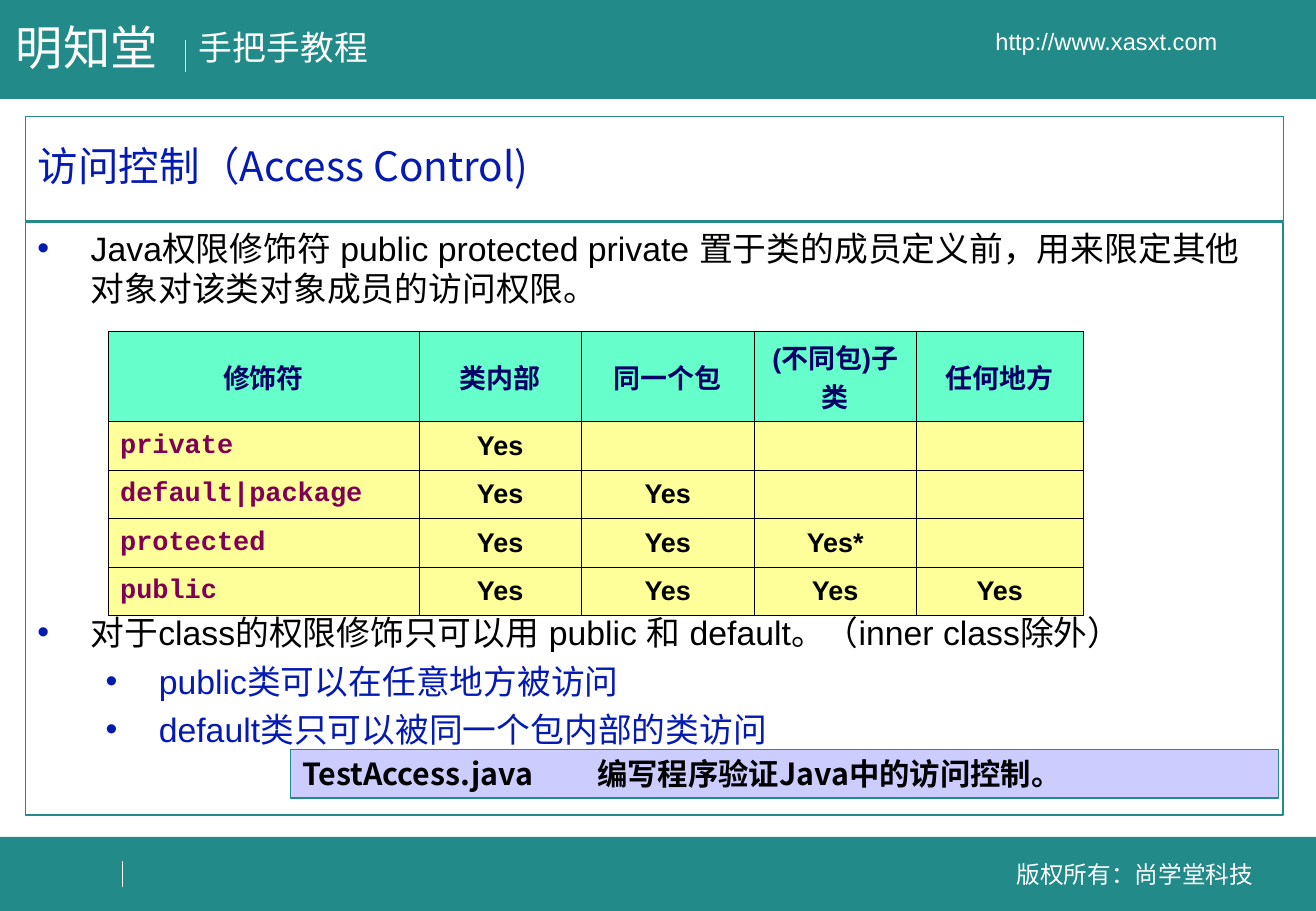
import pptx
import pptx.util
import pptx.dml.color
import pptx.enum.shapes
import pptx.enum.text
import pptx.oxml.ns
import lxml.etree

COLOURS = {
    "teal": "228A88", "white": "FFFFFF", "black": "000000", "blue": "051AB3",
    "navy": "000066", "plum": "7F0055", "mint": "66FFCC", "cream": "FFFF99",
    "lilac": "CCCCFF",
}
RGB = {name: pptx.dml.color.RGBColor.from_string(value) for name, value in COLOURS.items()}
Pt = pptx.util.Pt
qn = pptx.oxml.ns.qn
SubElement = lxml.etree.SubElement
CENTER = pptx.enum.text.PP_ALIGN.CENTER
LEFT = pptx.enum.text.PP_ALIGN.LEFT
MIDDLE = pptx.enum.text.MSO_ANCHOR.MIDDLE
TOP = pptx.enum.text.MSO_ANCHOR.TOP
RECTANGLE = pptx.enum.shapes.MSO_SHAPE.RECTANGLE

presentation = pptx.Presentation()
presentation.slide_width = pptx.util.Inches(10.84)
presentation.slide_height = pptx.util.Inches(7.5)
column = presentation.slide_width / 100
row = presentation.slide_height / 100


def region(left, top, width, height):
    return [int(left * column), int(top * row), int(width * column), int(height * row)]


def write(paragraph, text, colour, size, font="Arial", asian=None, bold=False, **layout):
    for name, value in layout.items():
        setattr(paragraph, name, value)
    run = paragraph.add_run()
    run.text = text
    for name, value in {"size": Pt(size), "name": font, "bold": bold}.items():
        setattr(run.font, name, value)
    run.font.color.rgb = RGB[colour]
    SubElement(run.font._element, qn("a:ea"), typeface=asian or font)


slide = presentation.slides.add_slide(presentation.slide_layouts[5])
shapes = slide.shapes

for place in [(0, 91.87, 100, 8.13), (0, 0, 100, 10.8)]:
    band = shapes.add_shape(RECTANGLE, *region(*place))
    band.shadow.inherit = False
    band.fill.solid()
    band.fill.fore_color.rgb = RGB["teal"]
    band.line.color.rgb = RGB["teal"]
    band.line.width = Pt(0.25)

for across, start, end in [(14.11, 4.4, 7.87), (9.32, 94.53, 97.33)]:
    x, y_start, _, length = region(across, start, 0, end - start)
    divider = shapes.add_connector(
        pptx.enum.shapes.MSO_CONNECTOR.STRAIGHT, x, y_start, x, y_start + length)
    divider.line.color.rgb = RGB["white"]
    divider.line.width = Pt(0.75)
    SubElement(divider._element.spPr, qn("a:effectLst"))

for place, text, size, wrap, anchor, alignment in [
    ((14.21, 2.27, 14.67, 5.87), "手把手教程", 20, False, TOP, LEFT),
    ((74.63, 93.73, 23.25, 4.53), "版权所有：尚学堂科技", 14, True, MIDDLE, CENTER),
    ((68.27, 2.27, 31.64, 4.53), "http://www.xasxt.com", 14, True, MIDDLE, CENTER),
    ((0.3, 1.33, 13.5, 7.6), "明知堂", 28, False, TOP, LEFT),
]:
    label = shapes.add_textbox(*region(*place))
    label.text_frame.word_wrap = wrap
    label.text_frame.vertical_anchor = anchor
    write(label.text_frame.paragraphs[0], text, "white", size, alignment=alignment)

title = shapes.title
title.left, title.top, title.width, title.height = region(1.94, 12.8, 95.57, 11.47)
title.text_frame.vertical_anchor = MIDDLE
write(title.text_frame.paragraphs[0], "访问控制（Access Control)", "blue", 24,
      "Noto Sans CJK SC", alignment=LEFT, line_spacing=0.9)

body = shapes.add_textbox(*region(1.94, 24.4, 95.57, 65.07))
body.text_frame.word_wrap = True
for framed in (title, body):
    framed.line.color.rgb = RGB["teal"]
    framed.line.width = Pt(0.75)

bullets = [
    (0, "black", 180, "Java权限修饰符 public protected private 置于类的成员定义前，用来限定其他对象对该类对象成员的访问权限。"),
    (0, "black", 5, "对于class的权限修饰只可以用 public 和 default。（inner class除外）"),
    (1, "blue", 5, "public类可以在任意地方被访问"),
    (1, "blue", 5, "default类只可以被同一个包内部的类访问"),
]
for index, (level, colour, gap, text) in enumerate(bullets):
    paragraph = body.text_frame.add_paragraph() if index else body.text_frame.paragraphs[0]
    properties = paragraph._p.get_or_add_pPr()
    hanging = int(4.05 * column)
    properties.set("marL", str(hanging + int(level * 5.18 * column)))
    properties.set("indent", str(-hanging))
    bullet_colour = SubElement(properties, qn("a:buClr"))
    SubElement(bullet_colour, qn("a:srgbClr"), val=COLOURS["blue"])
    SubElement(properties, qn("a:buFont"), typeface="Arial")
    SubElement(properties, qn("a:buChar"), char="•")
    write(paragraph, text, colour, 20, level=level, line_spacing=Pt(23.8), space_after=Pt(gap))

access_rows = [
    ["修饰符", "类内部", "同一个包", "(不同包)子类", "任何地方"],
    ["private", "Yes", "", "", ""],
    ["default|package", "Yes", "Yes", "", ""],
    ["protected", "Yes", "Yes", "Yes*", ""],
    ["public", "Yes", "Yes", "Yes", "Yes"],
]
table = shapes.add_table(5, 5, *region(8.21, 36.4, 74.08, 31.19)).table
for table_column, width in zip(table.columns, [23.62, 12.36, 13.1, 12.36, 12.64]):
    table_column.width = int(width * column)
for row_index, texts in enumerate(access_rows):
    table.rows[row_index].height = int((5.3 if row_index else 9.87) * row)
    for column_index, text in enumerate(texts):
        cell = table.cell(row_index, column_index)
        cell.vertical_anchor = MIDDLE
        cell.margin_left = cell.margin_right = pptx.util.Inches(0.1)
        for side in ("a:lnL", "a:lnR", "a:lnT", "a:lnB"):
            border = SubElement(cell._tc.get_or_add_tcPr(), qn(side), w=str(Pt(0.45)))
            border_fill = SubElement(border, qn("a:solidFill"))
            SubElement(border_fill, qn("a:srgbClr"), val=COLOURS["black"])
        cell.fill.solid()
        cell.fill.fore_color.rgb = RGB["cream" if row_index else "mint"]
        modifier = row_index > 0 and column_index == 0
        if text:
            write(cell.text_frame.paragraphs[0], text,
                  "plum" if modifier else "black" if row_index else "navy", 16,
                  "Courier New" if modifier else "Arial",
                  asian="Noto Sans CJK SC", bold=True,
                  alignment=LEFT if modifier else CENTER)

note = shapes.add_textbox(*region(22.05, 82.27, 75.09, 5.33))
note.fill.solid()
note.fill.fore_color.rgb = RGB["lilac"]
note.line.color.rgb = RGB["teal"]
note.line.width = Pt(0.75)
note.text_frame.word_wrap = True
paragraph = note.text_frame.paragraphs[0]
tabs = SubElement(paragraph._p.get_or_add_pPr(), qn("a:tabLst"))
SubElement(tabs, qn("a:tab"), pos=str(int(22.42 * column)), algn="l")
write(paragraph, "TestAccess.java\t编写程序验证Java中的访问控制。", "black", 18,
      "Noto Sans CJK KR", bold=True)

presentation.save("out.pptx")
